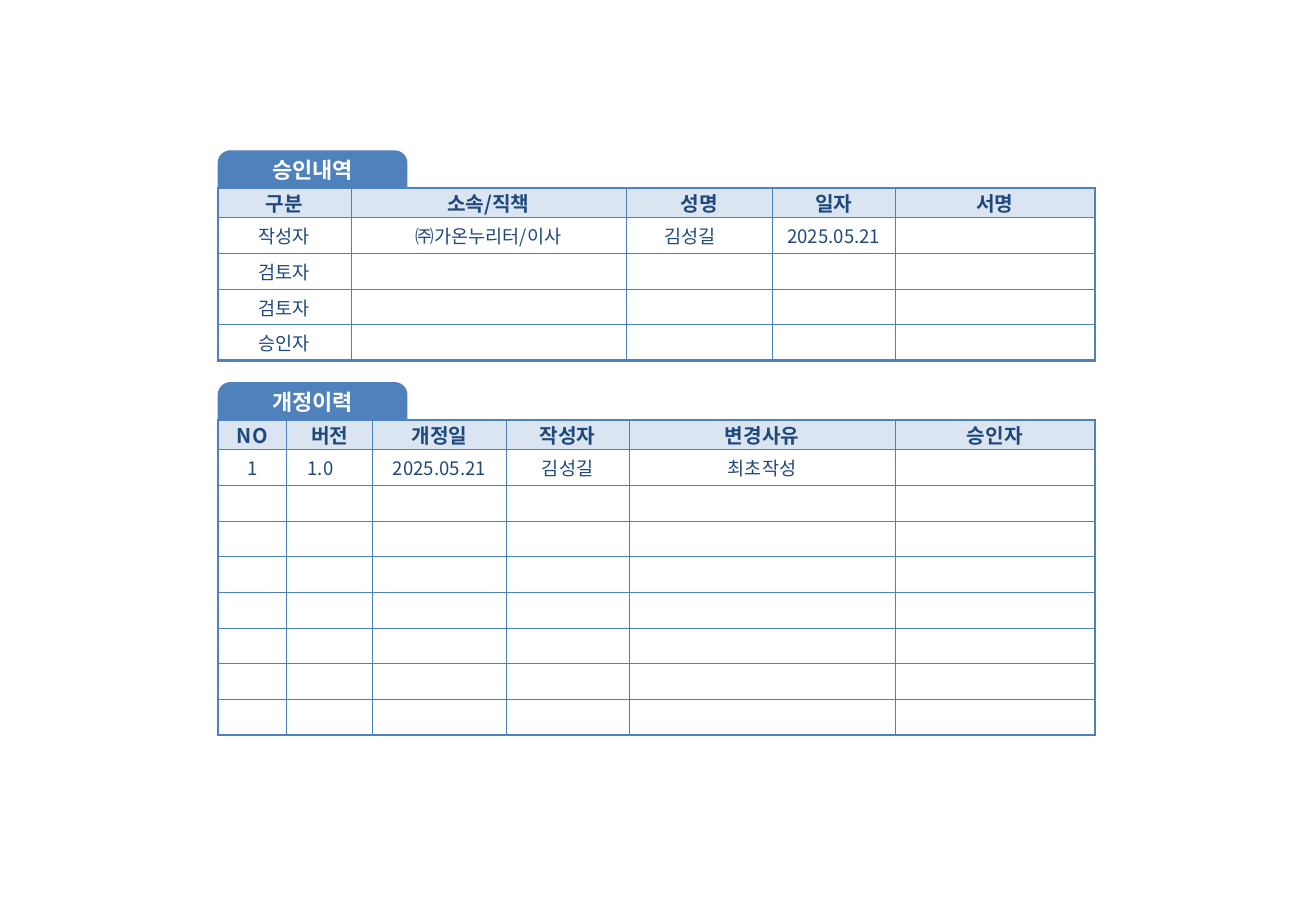
import pptx
import pptx.util
import pptx.dml.color
import pptx.enum.shapes
import pptx.enum.text
import pptx.oxml.ns
import lxml.etree

Pt = pptx.util.Pt
RGBColor = pptx.dml.color.RGBColor
qn = pptx.oxml.ns.qn

BLUE = RGBColor(0x4F, 0x81, 0xBD)
PALE = RGBColor(0xDB, 0xE5, 0xF1)
NAVY = RGBColor(0x1F, 0x49, 0x7D)
WHITE = RGBColor(0xFF, 0xFF, 0xFF)
FONT = "Noto Sans CJK KR"

LEFT, WIDTH = 129, 520
TAB_W, TAB_H = 112.5, 22.5
HEAD_H, ROW_H = 16, 21.2


def style(para, size, color, bold):
    para.alignment = pptx.enum.text.PP_ALIGN.CENTER
    font = para.font
    font.size, font.bold, font.name = Pt(size), bold, FONT
    font.color.rgb = color
    # Korean letters take the East Asian font
    props = para._p.pPr.find(qn("a:defRPr"))
    lxml.etree.SubElement(props, qn("a:ea"), typeface=FONT)


def border(cell, side, width):
    props = cell._tc.get_or_add_tcPr()
    line = lxml.etree.SubElement(props, qn("a:ln" + side), w=str(Pt(width)))
    fill = lxml.etree.SubElement(line, qn("a:solidFill"))
    lxml.etree.SubElement(fill, qn("a:srgbClr"), val=str(BLUE))


# Title, top, column widths, row count and filled rows of each table
parts = [
    ("승인내역", 111.6, [79, 163, 87, 72.5, 118.5], 5, [
        ["구분", "소속/직책", "성명", "일자", "서명"],
        ["작성자", "㈜가온누리터/이사", "김성길　", "2025.05.21"],
        ["검토자"],
        ["검토자"],
        ["승인자"],
    ]),
    ("개정이력", 249, [41, 51, 79, 73, 157.5, 118.5], 9, [
        ["NO", "버전", "개정일", "작성자", "변경사유", "승인자"],
        ["1", "1.0　", "2025.05.21", "김성길", "최초작성"],
    ]),
]

# Slide
deck = pptx.Presentation()
deck.slide_width, deck.slide_height = Pt(780), Pt(540)
slide = deck.slides.add_slide(deck.slide_layouts[6])

for title, top, widths, count, texts in parts:
    # Table
    height = HEAD_H + ROW_H * (count - 1)
    table = slide.shapes.add_table(
        count, len(widths), Pt(LEFT), Pt(top), Pt(WIDTH), Pt(height)).table
    table.horz_banding = False
    for col, width in zip(table.columns, widths):
        col.width = Pt(width)

    for r, row in enumerate(table.rows):
        head = r == 0
        row.height = Pt(HEAD_H if head else ROW_H)
        words = texts[r] if r < len(texts) else []
        for c, cell in enumerate(row.cells):
            cell.margin_left = cell.margin_right = 0
            cell.margin_top = cell.margin_bottom = 0
            cell.vertical_anchor = pptx.enum.text.MSO_ANCHOR.MIDDLE
            # Thick lines only on the outer edge
            edges = {"L": c == 0, "R": c == len(widths) - 1,
                     "T": head, "B": r == count - 1}
            for side, outer in edges.items():
                border(cell, side, 1.5 if outer else 0.5)
            if head:
                cell.fill.solid()
                cell.fill.fore_color.rgb = PALE
            else:
                cell.fill.background()
            if c < len(words):
                cell.text = words[c]
            style(cell.text_frame.paragraphs[0], 12 if head else 11, NAVY, head)

    # Title tab
    tab = slide.shapes.add_shape(
        pptx.enum.shapes.MSO_SHAPE.ROUND_2_SAME_RECTANGLE,
        Pt(LEFT), Pt(top - TAB_H), Pt(TAB_W), Pt(TAB_H))
    tab.adjustments[0] = 0.34
    tab.shadow.inherit = False
    tab.fill.solid()
    tab.fill.fore_color.rgb = BLUE
    tab.line.fill.background()
    frame = tab.text_frame
    frame.margin_left = frame.margin_right = Pt(3)
    frame.margin_top, frame.margin_bottom = 0, Pt(1.5)
    frame.vertical_anchor = pptx.enum.text.MSO_ANCHOR.MIDDLE
    frame.text = title
    style(frame.paragraphs[0], 13, WHITE, True)

deck.save("out.pptx")
